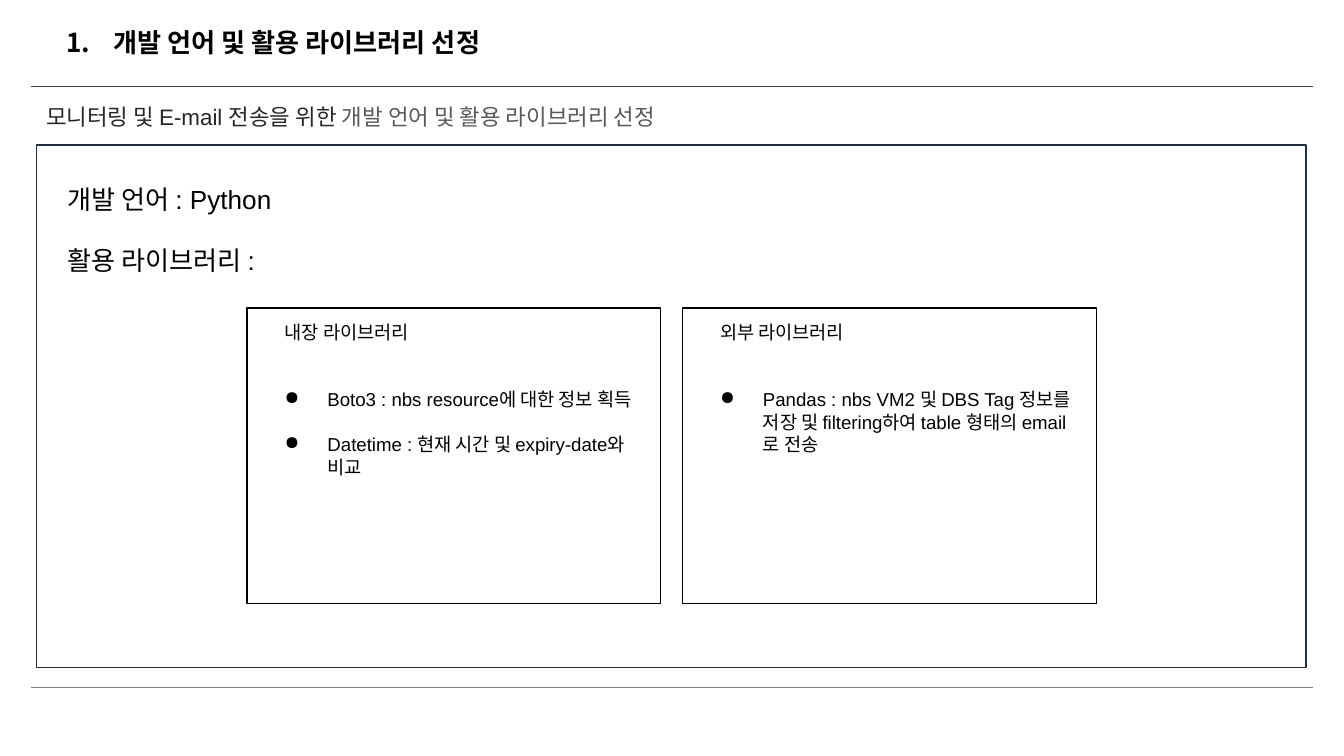
"""Build a slide on the chosen language and libraries."""
import pptx
import pptx.util
import pptx.dml.color
import pptx.enum.shapes
import pptx.enum.text
import pptx.oxml.ns
import lxml.etree

Cm = pptx.util.Cm
Pt = pptx.util.Pt
COLORS = {"black": "000000", "navy": "232F3D", "dark": "262626",
          "gray": "595959", "top_rule": "3F3F3F", "bottom_rule": "7F7F7F"}
LEFT, WIDTH = 0.69, 24
PANEL_LEFT, PANEL_STEP = 4.67, 8.23
PANELS = [
    ("내장 라이브러리", ["Boto3 : nbs resource에 대한 정보 획득",
                  "Datetime : 현재 시간 및 expiry-date와 비교"]),
    ("외부 라이브러리", ["Pandas : nbs VM2 및 DBS Tag 정보를 저장 및 "
                  "filtering하여 table 형태의 email로 전송"]),
]


def rgb(name):
    return pptx.dml.color.RGBColor.from_string(COLORS[name])


def add_run(p, text, size, color="black", bold=False):
    r = p.add_run()
    r.text = text
    r.font.name = "Arial"
    r.font.size = Pt(size)
    r.font.bold = bold
    r.font.color.rgb = rgb(color)


def format_paragraph(p, before=0, margin=0, indent=0, bullet="buNone", **attrs):
    p.alignment = pptx.enum.text.PP_ALIGN.LEFT
    p.space_before = Pt(before)
    pPr = p._p.get_or_add_pPr()
    pPr.set("marL", str(Cm(margin)))
    pPr.set("indent", str(Cm(indent)))
    lxml.etree.SubElement(pPr, pptx.oxml.ns.qn("a:" + bullet), attrs)


def format_frame(tf, anchor, side, end):
    tf.word_wrap = True
    tf.auto_size = pptx.enum.text.MSO_AUTO_SIZE.NONE
    tf.vertical_anchor = anchor
    tf.margin_left = tf.margin_right = Cm(side)
    tf.margin_top = tf.margin_bottom = Cm(end)


def fill_placeholder(sp, top, height, anchor):
    sp.left, sp.top, sp.width, sp.height = Cm(LEFT), Cm(top), Cm(WIDTH), Cm(height)
    format_frame(sp.text_frame, anchor, 0.18, 0.1)
    p = sp.text_frame.paragraphs[0]
    p.line_spacing = 0.9
    return p


def add_rule(s, y, color):
    line = s.shapes.add_connector(pptx.enum.shapes.MSO_CONNECTOR.STRAIGHT,
                                  Cm(0.58), Cm(y), Cm(24.82), Cm(y))
    line.line.color.rgb = rgb(color)
    line.line.width = Pt(0.75)
    lxml.etree.SubElement(line._element.spPr, pptx.oxml.ns.qn("a:effectLst"))


def add_box(s, left, top, width, height, color, weight):
    sp = s.shapes.add_shape(pptx.enum.shapes.MSO_SHAPE.RECTANGLE,
                            Cm(left), Cm(top), Cm(width), Cm(height))
    sp.shadow.inherit = False
    sp.fill.background()
    sp.line.color.rgb = rgb(color)
    sp.line.width = Pt(weight)
    return sp


def add_panel(s, left, heading, items):
    tf = add_box(s, left, 5.82, 7.82, 5.59, "black", 0.75).text_frame
    format_frame(tf, pptx.enum.text.MSO_ANCHOR.TOP, 0.25, 0.25)
    p = tf.paragraphs[0]
    format_paragraph(p, margin=0.46)
    add_run(p, heading, 10)
    for i, item in enumerate(items):
        p = tf.add_paragraph()
        format_paragraph(p, 12 if i else 24, 1.27, -0.81, "buChar", char="●")
        add_run(p, item, 10)


def add_summary(s, lines):
    tf = s.shapes.add_textbox(Cm(1.02), Cm(3.33), Cm(7.49), Cm(2.06)).text_frame
    format_frame(tf, pptx.enum.text.MSO_ANCHOR.TOP, 0.25, 0.13)
    for i, text in enumerate(lines):
        p = tf.add_paragraph() if i else tf.paragraphs[0]
        format_paragraph(p, 16 if i else 0)
        add_run(p, text, 14)


def main():
    prs = pptx.Presentation()
    prs.slide_width, prs.slide_height = Cm(25.4), Cm(14.29)
    s = prs.slides.add_slide(prs.slide_layouts[1])
    add_rule(s, 13, "bottom_rule")
    add_rule(s, 1.63, "top_rule")

    p = fill_placeholder(s.shapes.title, 0.28, 1.09, pptx.enum.text.MSO_ANCHOR.MIDDLE)
    format_paragraph(p, 0, 1.27, -0.89, "buAutoNum", type="arabicPeriod")
    add_run(p, "개발 언어 및 활용 라이브러리 선정", 14, bold=True)

    p = fill_placeholder(s.placeholders[1], 1.9, 0.81, pptx.enum.text.MSO_ANCHOR.TOP)
    p.space_after = Pt(16)
    format_paragraph(p)
    add_run(p, "모니터링 및 E-mail 전송을 위한 ", 12, "dark")
    add_run(p, "개발 언어 및 활용 라이브러리 선정", 12, "gray")

    add_box(s, LEFT, 2.74, WIDTH, 9.88, "navy", 1)
    for i, (heading, items) in enumerate(PANELS):
        add_panel(s, PANEL_LEFT + i * PANEL_STEP, heading, items)
    add_summary(s, ["개발 언어 : Python", "활용 라이브러리 :"])
    prs.save("out.pptx")


if __name__ == "__main__":
    main()
